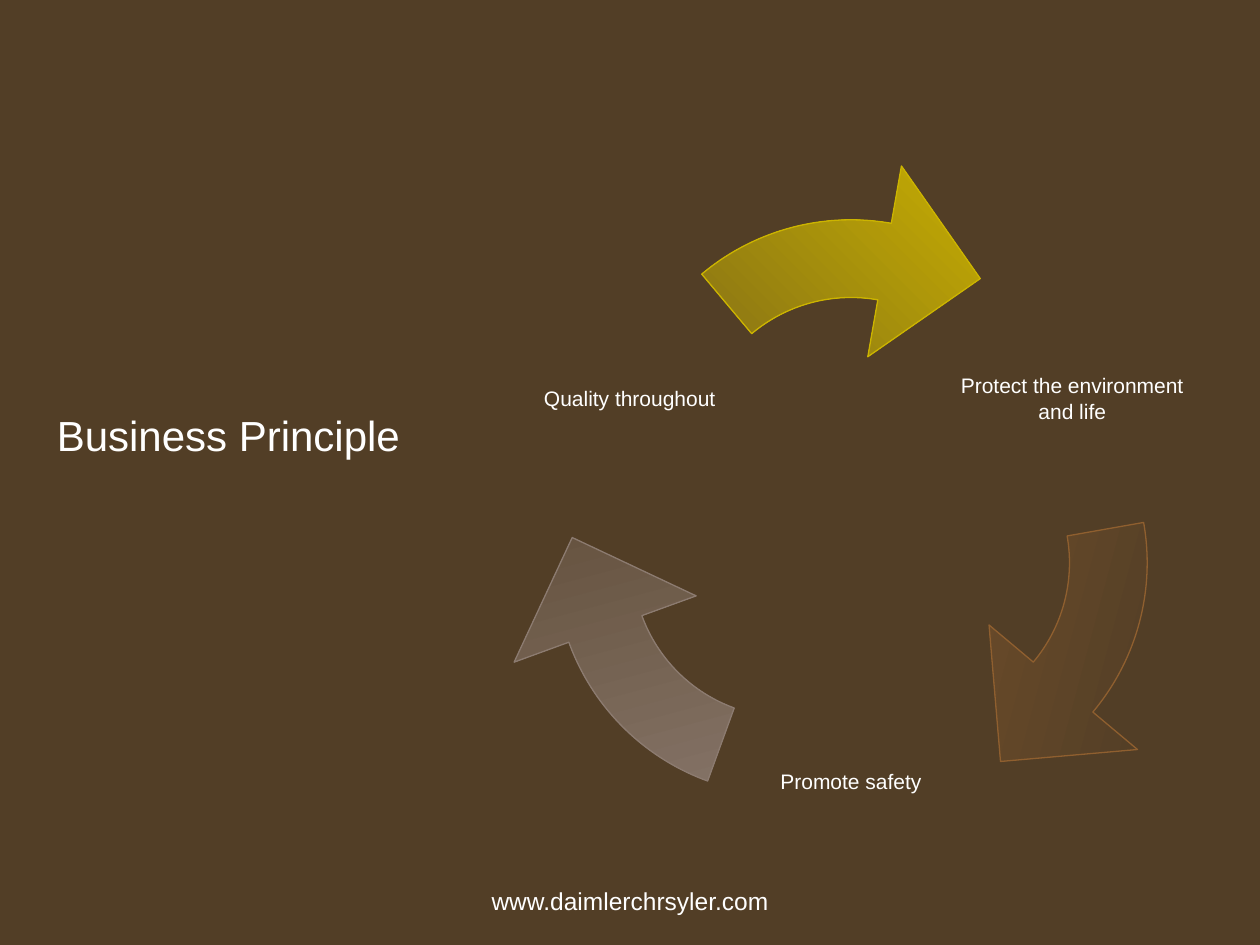
from math import cos, hypot, radians, degrees, atan, sin, tan

from lxml import etree
from pptx import Presentation
from pptx.dml.color import RGBColor
from pptx.enum.shapes import MSO_SHAPE
from pptx.enum.text import MSO_ANCHOR, PP_ALIGN
from pptx.oxml.ns import qn
from pptx.util import Pt

RECTANGLE = MSO_SHAPE.RECTANGLE
LEFT, CENTER = PP_ALIGN.LEFT, PP_ALIGN.CENTER
TOP, MIDDLE = MSO_ANCHOR.TOP, MSO_ANCHOR.MIDDLE

# Content
BACKGROUND, WHITE = "523E26", "FFFFFF"
TITLE = "Business Principle"
ADDRESS = "www.daimlerchrsyler.com"
# Clockwise from the lower right: angle on the ring, lines
LABELS = [
    (-30, ["Protect the environment", "and life"]),
    (90, ["Promote safety"]),
    (210, ["Quality throughout"]),
]
# Clockwise from the top
ARROW_COLORS = ["CCB400", "8F5F2F", "8C7B70"]

# Ring geometry, in points and degrees
RING_X, RING_Y = 486.3, 300.5
ARROW_OFFSET, LABEL_RADIUS, LABEL_SIZE = 42.2, 146, 106.6
INNER, OUTER = 88.3, 132.7
HEAD_INNER, HEAD_OUTER, TIP = 55.3, 166, 123.6
TAIL_ANGLE, NECK_ANGLE, TIP_ANGLE = -130, -80, -53.3
TURN = 120


def color(value):
    return RGBColor.from_string(value)


def polar(center, radius, angle):
    x, y = center
    return x + radius * cos(radians(angle)), y + radius * sin(radians(angle))


def fill_text(box, lines, size, align, anchor, margins=(0, 0), wrap=True):
    frame = box.text_frame
    side, edge = map(Pt, margins)
    settings = {
        "word_wrap": wrap, "vertical_anchor": anchor,
        "margin_left": side, "margin_right": side,
        "margin_top": edge, "margin_bottom": edge,
    }
    for name, value in settings.items():
        setattr(frame, name, value)
    frame.text = "\n".join(lines)
    for para in frame.paragraphs:
        para.alignment = align
        for name, value in {"name": "Arial", "size": Pt(size)}.items():
            setattr(para.font, name, value)
        para.font.color.rgb = color(WHITE)


def arc_points(radius, start, end):
    """Two control points and the end of a circular arc, as radius and angle."""
    pull = 4 / 3 * tan(radians(end - start) / 4)
    reach, swing = radius * hypot(1, pull), degrees(atan(pull))
    return [(reach, start + swing), (reach, end - swing), (radius, end)]


def add_arrow(page, turn, value):
    x, y = polar((RING_X, RING_Y), ARROW_OFFSET, turn - 90)
    left, top, right, bottom = map(Pt, (x - OUTER, y - OUTER, x + OUTER, y + OUTER))
    builder = page.shapes.build_freeform(left, top)
    builder.add_line_segments([(right, top), (right, bottom), (left, bottom)])
    arrow = builder.convert_to_shape()

    # Outline inside the square frame, with true curves
    segments = [
        ("moveTo", [(INNER, NECK_ANGLE)]),
        ("cubicBezTo", arc_points(INNER, NECK_ANGLE, TAIL_ANGLE)),
        ("lnTo", [(OUTER, TAIL_ANGLE)]),
        ("cubicBezTo", arc_points(OUTER, TAIL_ANGLE, NECK_ANGLE)),
        ("lnTo", [(HEAD_OUTER, NECK_ANGLE)]),
        ("lnTo", [(TIP, TIP_ANGLE)]),
        ("lnTo", [(HEAD_INNER, NECK_ANGLE)]),
        ("close", []),
    ]
    outline = arrow._element.xpath(".//a:path")[0]
    for child in list(outline):
        outline.remove(child)
    for kind, corners in segments:
        segment = etree.SubElement(outline, qn(f"a:{kind}"))
        for radius, angle in corners:
            across, down = polar((OUTER, OUTER), radius, angle + turn)
            etree.SubElement(segment, qn("a:pt"), x=str(Pt(across)), y=str(Pt(down)))

    arrow.shadow.inherit = False
    arrow.fill.gradient()
    arrow.fill.gradient_angle = (225 + turn) % 360
    for stop, shade in zip(arrow.fill.gradient_stops, (value, BACKGROUND)):
        stop.color.rgb = color(shade)
    arrow.line.color.rgb = color(value)
    arrow.line.width = Pt(0.75)


def add_label(page, angle, lines):
    x, y = polar((RING_X, RING_Y), LABEL_RADIUS, angle)
    half = LABEL_SIZE / 2
    bounds = (x - half, y - half, LABEL_SIZE, LABEL_SIZE)
    label = page.shapes.add_shape(RECTANGLE, *map(Pt, bounds))
    label.shadow.inherit = False
    label.fill.background()
    label.line.fill.background()
    fill_text(label, lines, 12, CENTER, MIDDLE, wrap=False)


def main():
    deck = Presentation()
    deck.slide_width, deck.slide_height = Pt(720), Pt(540)
    page = deck.slides.add_slide(deck.slide_layouts[6])
    page.background.fill.solid()
    page.background.fill.fore_color.rgb = color(BACKGROUND)

    # Web address
    address = page.shapes.add_textbox(Pt(246), Pt(502.6), Pt(228.2), Pt(26.6))
    fill_text(address, [ADDRESS], 14, CENTER, TOP, (7.2, 3.6))

    # Cycle of arrows, with labels between them
    for index, value in enumerate(ARROW_COLORS):
        add_arrow(page, index * TURN, value)
    for angle, lines in LABELS:
        add_label(page, angle, lines)

    # Title
    title = page.shapes.add_textbox(Pt(25.4), Pt(230.4), Pt(221), Pt(36))
    fill_text(title, [TITLE], 24, LEFT, TOP, (7.2, 3.6))

    deck.save("out.pptx")


if __name__ == "__main__":
    main()
